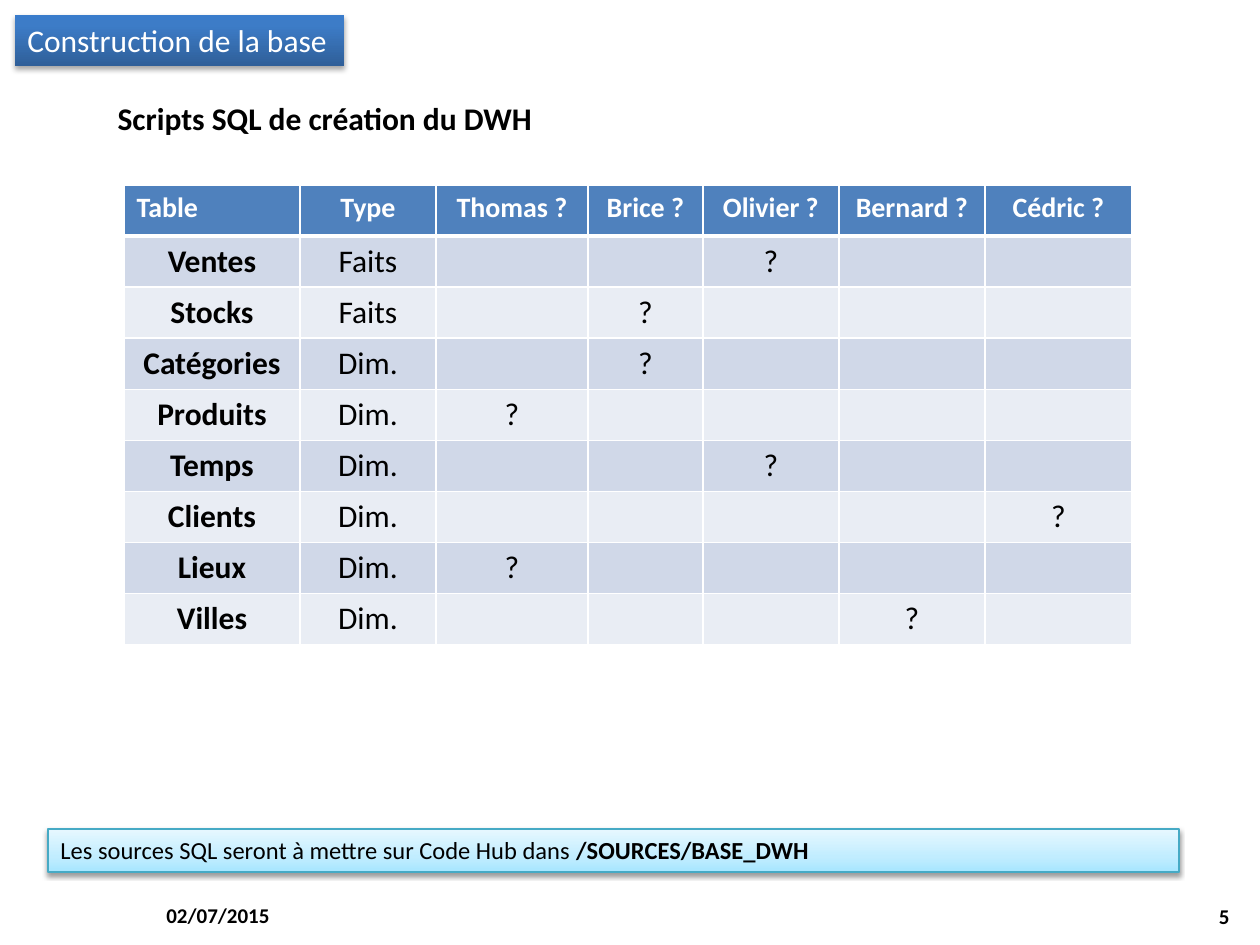
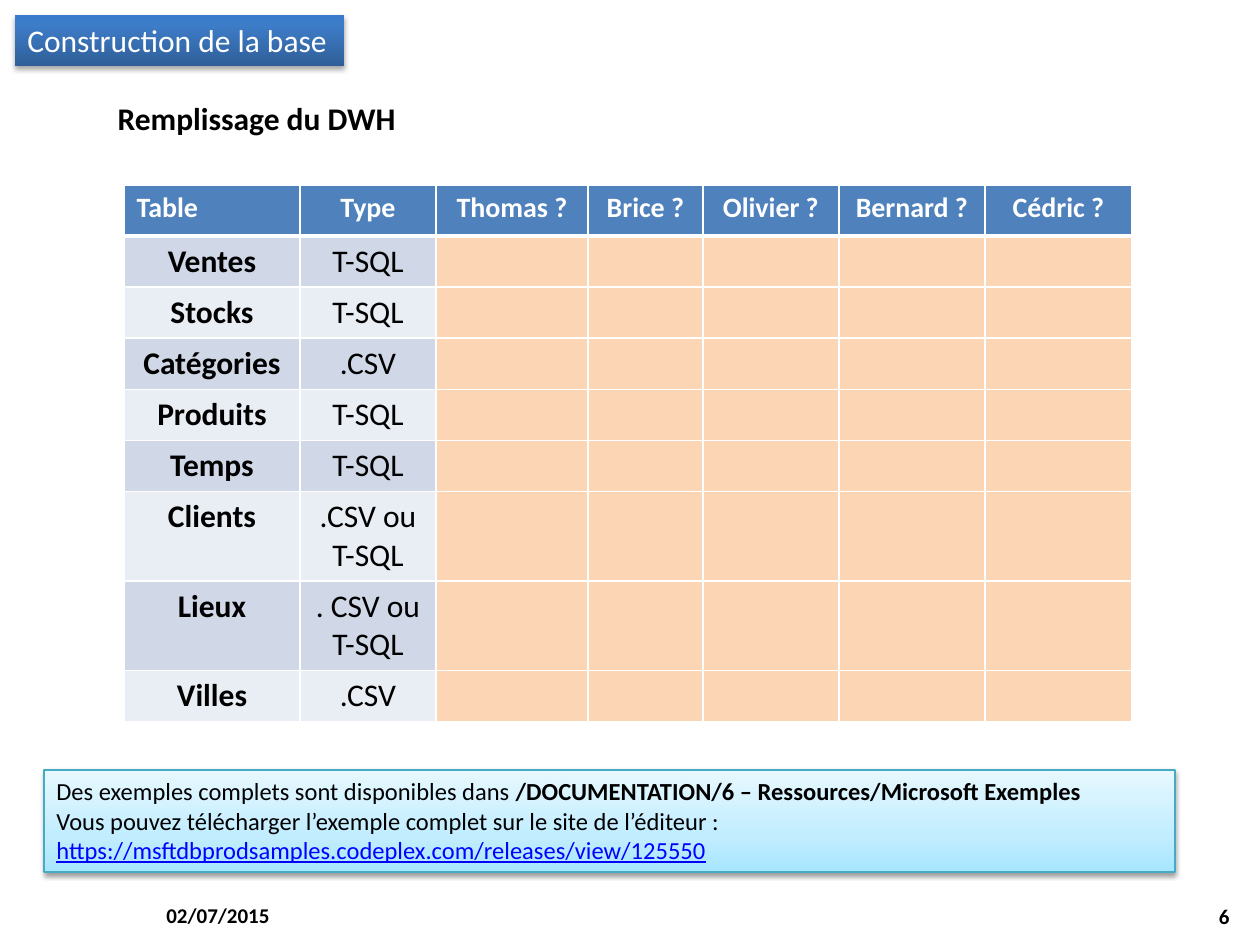
from pptx import Presentation
from pptx.dml.color import RGBColor
from pptx.enum.shapes import MSO_SHAPE
from pptx.enum.text import MSO_ANCHOR as ANCHOR, MSO_AUTO_SIZE as AUTO, PP_ALIGN as ALIGN
from pptx.oxml import parse_xml
from pptx.oxml.ns import nsdecls, qn
from pptx.util import Inches, Pt

PX = Inches(1) // 126
FONT = "Calibri"
C = {
    "text": "000000", "white": "FFFFFF", "link": "0000FF",
    "header": "4F81BD", "band_dark": "D0D8E8", "band_light": "E9EDF4",
    "open": "FCD5B5", "note_line": "46AAC5",
}
TAG_GRADIENT = [(0, "2F5F99"), (80, "3D7CC7"), (100, "3A7CCB")]
NOTE_GRADIENT = [(0, "A7E6FF"), (35, "C1EDFF"), (100, "E7F8FF")]

DATE = "02/07/2015"
HEADERS = ["Table", "Type", "Thomas ?", "Brice ?", "Olivier ?", "Bernard ?", "Cédric ?"]
COL_WIDTHS = [176, 136, 152, 115, 136, 146, 147]
ROW_HEIGHT, TALL_ROW_HEIGHT = 51, 88
TABLES = ["Ventes", "Stocks", "Catégories", "Produits", "Temps", "Clients", "Lieux", "Villes"]

SLIDES = [
    {
        "title": "Scripts SQL de création du DWH", "title_width": 443,
        "types": ["Faits", "Faits"] + ["Dim."] * 6,
        "owners": ["Olivier", "Brice", "Brice", "Thomas", "Olivier", "Cédric", "Thomas", "Bernard"],
        "note_box": (48, 829, 1131, 43),
        "note": [[("Les sources SQL seront à mettre sur Code Hub dans ", "plain"),
                  ("/SOURCES/BASE_DWH", "bold")]],
    },
    {
        "title": "Remplissage du DWH", "title_width": 314,
        "types": ["T-SQL", "T-SQL", ".CSV", "T-SQL", "T-SQL",
                  ".CSV ou T-SQL", ". CSV ou T-SQL", ".CSV"],
        "owners": None,
        "note_box": (44, 770, 1131, 102),
        "note": [[("Des exemples complets sont disponibles dans ", "plain"),
                  ("/DOCUMENTATION/6 – Ressources/Microsoft Exemples", "bold")],
                 [("Vous pouvez télécharger l’exemple complet sur le site de l’éditeur :", "plain")],
                 [("https://msftdbprodsamples.codeplex.com/releases/view/125550", "link")]],
    },
]


def style(p, size, color="text", bold=False, align=ALIGN.LEFT):
    p.alignment = align
    for r in p.runs:
        r.font.name, r.font.size, r.font.bold = FONT, Pt(size), bold
        r.font.color.rgb = RGBColor.from_string(C[color])


def add_panel(s, box, gradient, line, alpha, distance):
    """Add a rectangle with an upward gradient and a soft shadow below it."""
    sp = s.shapes.add_shape(MSO_SHAPE.RECTANGLE, *[v * PX for v in box])
    sp.shadow.inherit = False
    if line:
        sp.line.color.rgb = RGBColor.from_string(C[line])
        sp.line.width = Pt(0.75)
    else:
        sp.line.fill.background()
    stops = "".join(f'<a:gs pos="{pos * 1000}"><a:srgbClr val="{color}"/></a:gs>'
                    for pos, color in gradient)
    spPr = sp.element.spPr
    spPr.insert(2, parse_xml(
        f'<a:gradFill {nsdecls("a")} rotWithShape="1"><a:gsLst>{stops}</a:gsLst>'
        '<a:lin ang="16200000" scaled="0"/></a:gradFill>'))
    spPr.find(qn("a:effectLst")).append(parse_xml(
        f'<a:outerShdw {nsdecls("a")} blurRad="{Pt(3.1)}" dist="{Pt(distance)}" dir="5400000" '
        f'rotWithShape="0"><a:srgbClr val="000000"><a:alpha val="{alpha * 1000}"/>'
        '</a:srgbClr></a:outerShdw>'))
    sp.text_frame.vertical_anchor = ANCHOR.TOP
    return sp


prs = Presentation()
prs.slide_width, prs.slide_height = Inches(10), Inches(7.5)

for number, content in enumerate(SLIDES, start=5):
    s = prs.slides.add_slide(prs.slide_layouts[5])

    # Section tag and slide title
    tf = add_panel(s, (15, 15, 329, 51), TAG_GRADIENT, None, 35, 1.8).text_frame
    tf.word_wrap = False
    tf.text = "Construction de la base"
    style(tf.paragraphs[0], 18, "white")

    title = s.shapes.title
    title.left, title.top = 105 * PX, 93 * PX
    title.width, title.height = content["title_width"] * PX, 51 * PX
    tf = title.text_frame
    tf.text = content["title"]
    tf.word_wrap, tf.auto_size, tf.vertical_anchor = False, AUTO.NONE, ANCHOR.TOP
    style(tf.paragraphs[0], 18, bold=True)

    # Table of tasks
    rows = [HEADERS]
    for i, (name, kind) in enumerate(zip(TABLES, content["types"])):
        owner = content["owners"][i] if content["owners"] else None
        rows.append([name, kind] + ["?" if h == f"{owner} ?" else "" for h in HEADERS[2:]])
    heights = [TALL_ROW_HEIGHT if " ou " in row[1] else ROW_HEIGHT for row in rows]
    table = s.shapes.add_table(len(rows), len(HEADERS), 124 * PX, 185 * PX,
                               sum(COL_WIDTHS) * PX, sum(heights) * PX).table
    for col, width in zip(table.columns, COL_WIDTHS):
        col.width = width * PX
    for i, row in enumerate(rows):
        table.rows[i].height = heights[i] * PX
        for j, text in enumerate(row):
            cell = table.cell(i, j)
            thick_edge = {0: "B", 1: "T"}.get(i)
            tcPr = cell._tc.get_or_add_tcPr()
            for edge in "LRTB":
                width = Pt(3 if edge == thick_edge else 1)
                tcPr.append(parse_xml(
                    f'<a:ln{edge} {nsdecls("a")} w="{width}"><a:solidFill>'
                    f'<a:srgbClr val="{C["white"]}"/></a:solidFill></a:ln{edge}>'))
            if i == 0:
                fill = "header"
            elif j > 1 and not content["owners"]:
                fill = "open"
            else:
                fill = "band_dark" if i % 2 else "band_light"
            cell.fill.solid()
            cell.fill.fore_color.rgb = RGBColor.from_string(C[fill])
            if text:
                cell.text = text
                p = cell.text_frame.paragraphs[0]
                if i == 0:
                    style(p, 16, "white", True, ALIGN.CENTER if j else ALIGN.LEFT)
                else:
                    style(p, 18, bold=j == 0, align=ALIGN.CENTER)

    # Note
    tf = add_panel(s, content["note_box"], NOTE_GRADIENT, "note_line", 38, 1.6).text_frame
    tf.word_wrap = True
    for i, pieces in enumerate(content["note"]):
        p = tf.add_paragraph() if i else tf.paragraphs[0]
        for text, _ in pieces:
            p.add_run().text = text
        style(p, 14)
        for r, (_, look) in zip(p.runs, pieces):
            r.font.bold = look == "bold"
            if look == "link":
                r.font.underline = True
                r.font.color.rgb = RGBColor.from_string(C["link"])

    # Footer
    for left, top, text, align in [(154, 890, DATE, ALIGN.LEFT),
                                   (948, 891, str(number), ALIGN.RIGHT)]:
        tf = s.shapes.add_textbox(left * PX, top * PX, 294 * PX, 50 * PX).text_frame
        tf.word_wrap, tf.vertical_anchor = True, ANCHOR.MIDDLE
        tf.text = text
        style(tf.paragraphs[0], 12, bold=True, align=align)

prs.save("out.pptx")
